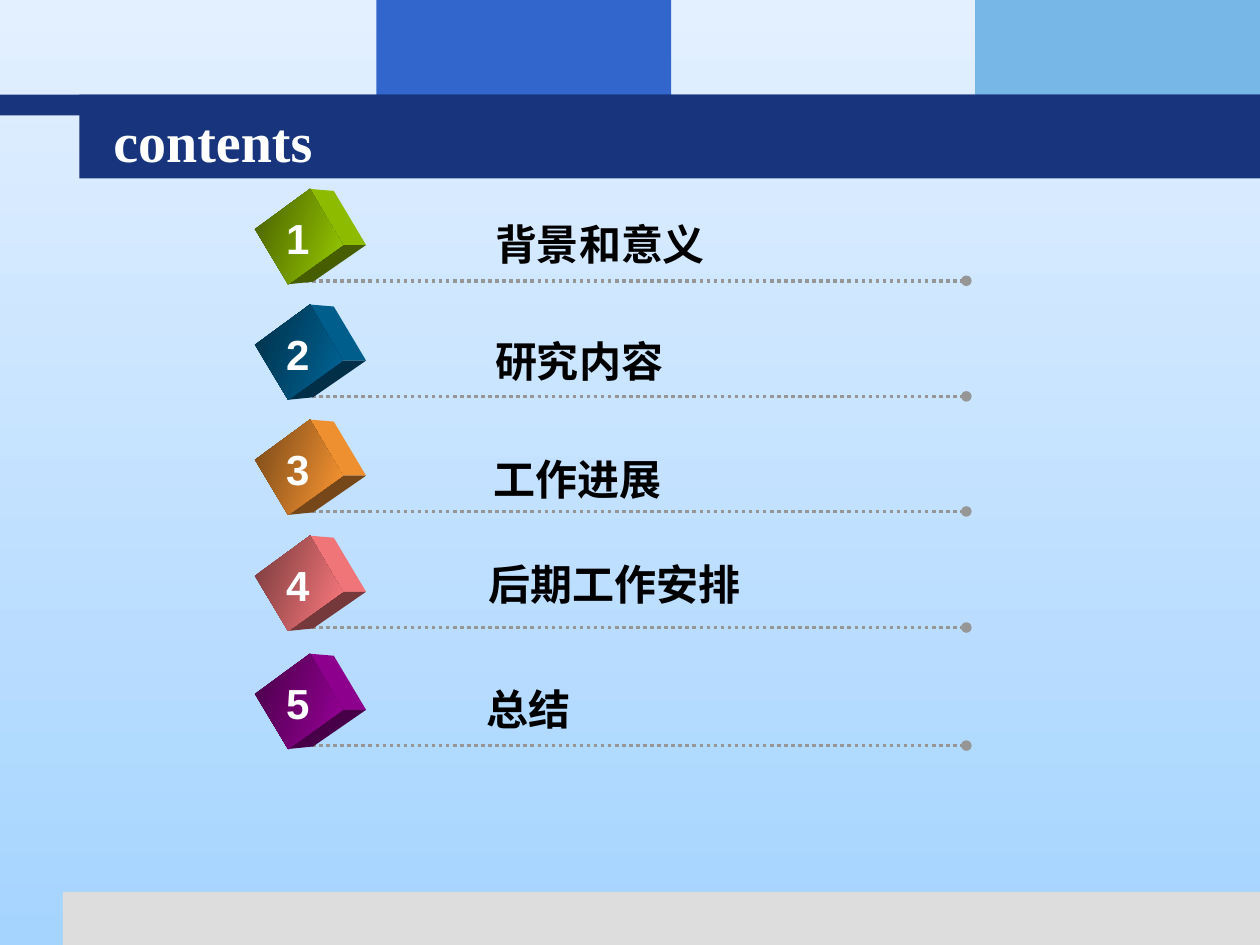
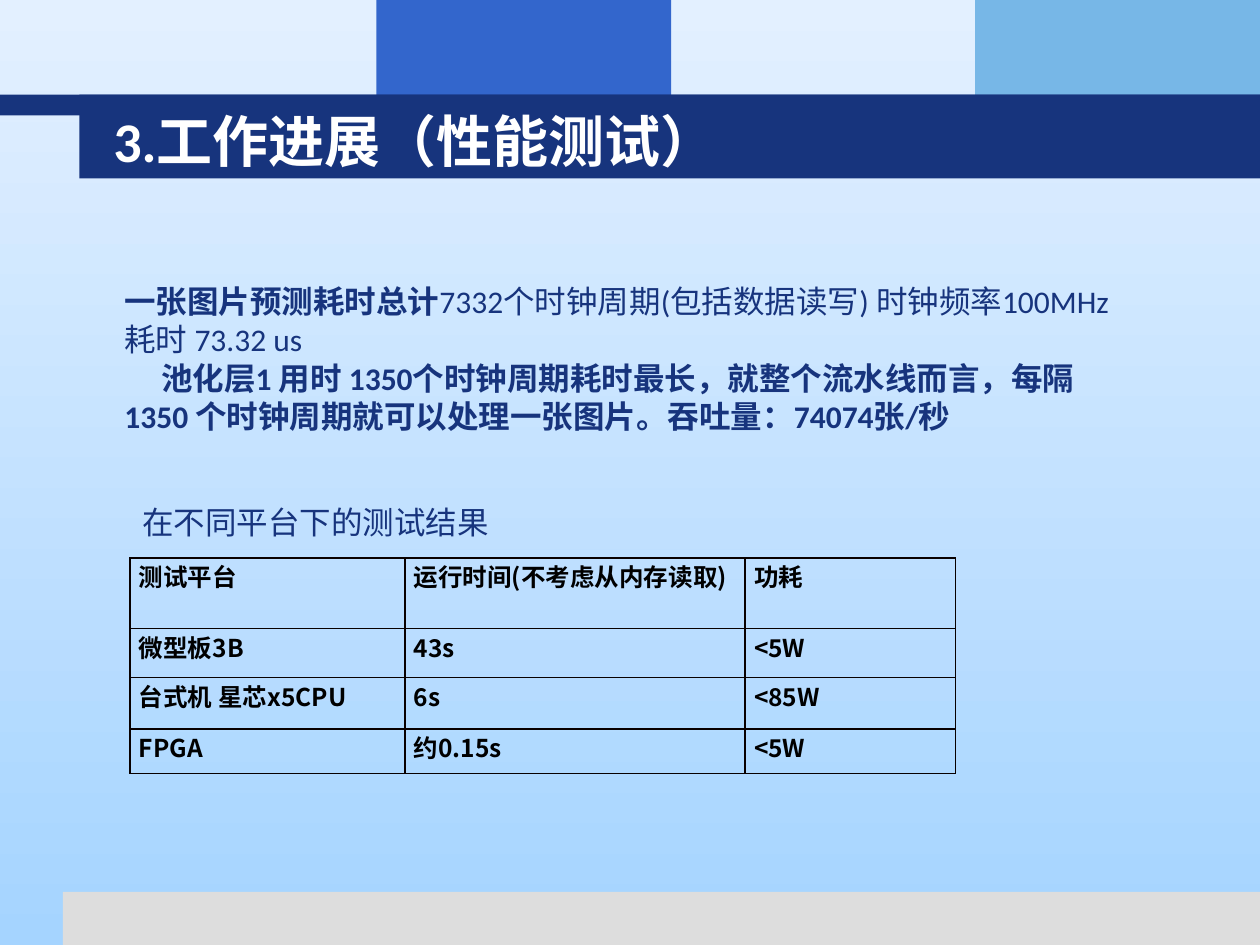
import pptx
import pptx.dml.color
import pptx.enum.dml
import pptx.enum.shapes
import pptx.enum.text
import pptx.oxml
import pptx.oxml.ns
import pptx.util
from pptx.dml.color import RGBColor
from pptx.util import Cm

SKY_BOTTOM = RGBColor(0xA5, 0xD4, 0xFF)
SKY_TOP = RGBColor(0xE3, 0xF0, 0xFF)
NAVY = RGBColor(0x17, 0x34, 0x7D)
BLUE = RGBColor(0x33, 0x66, 0xCC)
LIGHT_BLUE = RGBColor(0x77, 0xB7, 0xE7)
FOOTER_GREY = RGBColor(0xDD, 0xDD, 0xDD)
DOT_GREY = RGBColor(0x96, 0x96, 0x96)
BLACK = RGBColor(0, 0, 0)
WHITE = RGBColor(0xFF, 0xFF, 0xFF)

TITLE_ONLY = 5
LINE_START, LINE_END = 6.15, 19.48
CUBE_LEFT, CUBE_RISE = 5.14, 1.85

# left, top, width, height in cm
BANDS = [
    (1.27, 17.98, 24.13, 1.07, FOOTER_GREY),
    (7.59, 0, 5.94, 2.34, BLUE),
    (19.66, 0, 5.74, 2.34, LIGHT_BLUE),
    (0, 1.91, 25.4, 0.42, NAVY),
    (1.6, 1.91, 23.8, 1.69, NAVY),
]

# Cube faces, in cm from the top left corner of the cube
FRONT_FACE = [(0, 0.81), (1.11, 0), (1.77, 1.13), (0.67, 1.92)]
SIDE_FACE = [(1.11, 0), (1.59, 0.04), (2.24, 1.13), (1.77, 1.13)]
BOTTOM_FACE = [(0.67, 1.92), (1.77, 1.13), (2.24, 1.13), (1.17, 1.87)]

# label, left of label, drop from label top to line, line height, font, cube light, side and dark
CONTENTS = [
    ("背景和意义", 9.73, 1.37, 5.66, "Arial", "99CC00", "8CBB00", "475E00"),
    ("研究内容", 9.73, 1.35, 7.99, "Calibri", "006699", "005E8D", "002F47"),
    ("工作进展", 9.7, 1.3, 10.31, "Calibri", "FF9933", "EE8F30", "764718"),
    ("后期工作安排", 9.6, 1.52, 12.65, "Calibri", "FF7C80", "F07579", "76393B"),
    ("总结", 9.55, 1.37, 15.03, "Arial", "990099", "8D008D", "470047"),
]

RESULTS = [
    ("测试平台", "运行时间(不考虑从内存读取)", "功耗"),
    ("微型板3B", "43s", "<5W"),
    ("台式机 星芯x5CPU", "6s", "<85W"),
    ("FPGA", "约0.15s", "<5W"),
]
COLUMN_WIDTHS = [5.54, 6.86, 4.24]
ROW_HEIGHTS = [1.42, 0.99, 1.04, 0.89]


def add_xml(parent, tag, position=None, **attributes):
    element = parent.makeelement(pptx.oxml.ns.qn(tag), attributes)
    parent.insert(len(parent) if position is None else position, element)
    return element


def set_gradient(fill, start, end, angle):
    fill.gradient()
    fill.gradient_angle = angle
    for stop, color in zip(fill.gradient_stops, (start, end)):
        stop.color.rgb = color


def set_font(para, name, size, color, bold=None):
    para.font.name = name
    para.font.size = pptx.util.Pt(size)
    para.font.color.rgb = color
    para.font.bold = bold


def add_text(shapes, box, text, name, size, color, bold=None, wrap=True):
    frame = shapes.add_textbox(*map(Cm, box)).text_frame
    frame.word_wrap = wrap
    para = frame.paragraphs[0]
    para.text = text
    set_font(para, name, size, color, bold)
    return para


def add_page(deck, title_text, title_font):
    """Add a slide with the shared bands and its title in the navy bar."""
    page = deck.slides.add_slide(deck.slide_layouts[TITLE_ONLY])
    for *box, color in BANDS:
        band = page.shapes.add_shape(
            pptx.enum.shapes.MSO_SHAPE.RECTANGLE, *map(Cm, box))
        band.shadow.inherit = False
        band.fill.solid()
        band.fill.fore_color.rgb = color
        band.line.fill.background()

    title = page.shapes.title
    title.element.getparent().append(title.element)  # bring in front of the bands
    title.left, title.top, title.width, title.height = map(Cm, (2.03, 2.03, 21.67, 1.57))
    frame = title.text_frame
    frame.text = title_text
    frame.auto_size = pptx.enum.text.MSO_AUTO_SIZE.NONE
    frame.vertical_anchor = pptx.enum.text.MSO_ANCHOR.MIDDLE
    frame.paragraphs[0].alignment = pptx.enum.text.PP_ALIGN.LEFT
    set_font(frame.paragraphs[0], title_font, 32, WHITE, True)
    return page


def add_face(shapes, left, top, points):
    corners = [(Cm(left + x), Cm(top + y)) for x, y in points]
    builder = shapes.build_freeform(*corners[0])
    builder.add_line_segments(corners[1:], close=True)
    face = builder.convert_to_shape()
    face.shadow.inherit = False
    face.line.fill.background()
    return face


def add_cube(shapes, left, top, number, light, side, dark):
    for points, color in ((SIDE_FACE, side), (BOTTOM_FACE, dark)):
        face = add_face(shapes, left, top, points)
        face.fill.solid()
        face.fill.fore_color.rgb = color
    front = add_face(shapes, left, top, FRONT_FACE)
    set_gradient(front.fill, dark, light, 340)
    para = add_text(shapes, (left + 0.37, top + 0.35, 0.99, 1.27), str(number),
                    "Arial", 24, WHITE, True, wrap=False)
    para.alignment = pptx.enum.text.PP_ALIGN.CENTER


def add_dotted_line(shapes, left, right, height):
    connector = shapes.add_connector(
        pptx.enum.shapes.MSO_CONNECTOR.STRAIGHT,
        Cm(left), Cm(height), Cm(right), Cm(height))
    connector.line.color.rgb = DOT_GREY
    connector.line.width = pptx.util.Pt(2)
    connector.line.dash_style = pptx.enum.dml.MSO_LINE.ROUND_DOT
    properties = connector.element.spPr
    add_xml(properties.find(pptx.oxml.ns.qn("a:ln")), "a:tailEnd", type="oval")
    add_xml(properties, "a:effectLst")


def build_contents(deck):
    page = add_page(deck, "contents", "Times New Roman")
    for number, entry in enumerate(CONTENTS, 1):
        label, left, drop, height, font, *colors = entry
        shapes = page.shapes.add_group_shape().shapes
        add_dotted_line(shapes, LINE_START, LINE_END, height)
        add_cube(shapes, CUBE_LEFT, height - CUBE_RISE, number,
                 *map(RGBColor.from_string, colors))
        add_text(shapes, (left, height - drop, 5.8, 1.27), label, font, 24, BLACK, True)


def add_borders(cell):
    properties = cell._tc.get_or_add_tcPr()
    for position, side in enumerate(("a:lnL", "a:lnR", "a:lnT", "a:lnB")):
        border = add_xml(properties, side, position, w=str(pptx.util.Pt(1)))
        add_xml(add_xml(border, "a:solidFill"), "a:srgbClr", val="080000")


def add_results_table(page, left, top):
    table = page.shapes.add_table(
        len(RESULTS), len(COLUMN_WIDTHS), Cm(left), Cm(top),
        Cm(sum(COLUMN_WIDTHS)), Cm(sum(ROW_HEIGHTS))).table
    table.first_row = table.horz_banding = False
    for column, width in zip(table.columns, COLUMN_WIDTHS):
        column.width = Cm(width)
    for row, height, texts in zip(table.rows, ROW_HEIGHTS, RESULTS):
        row.height = Cm(height)
        for cell, text in zip(row.cells, texts):
            cell.text = text
            cell.fill.background()
            cell.margin_left = cell.margin_right = Cm(0.18)
            cell.margin_top = cell.margin_bottom = 0
            set_font(cell.text_frame.paragraphs[0], "Noto Sans CJK SC", 14, BLACK, True)
            add_borders(cell)


def build_performance(deck):
    page = add_page(deck, "3.工作进展（性能测试）", "Calibri")
    throughput = add_text(
        page.shapes, (2.26, 7.11, 20.6, 1.8),
        "池化层1 用时 1350个时钟周期耗时最长，就整个流水线而言，"
        "每隔1350 个时钟周期就可以处理一张图片。吞吐量：74074张/秒",
        "Calibri", 18, NAVY, True)
    throughput._p.get_or_add_pPr().set("indent", str(Cm(0.74)))

    latency = add_text(page.shapes, (2.26, 5.56, 20.6, 1.8), "一张图片预测耗时总计",
                       "Calibri", 18, NAVY)
    latency.runs[0].font.bold = True
    span = latency.add_run()
    span.text = "7332个时钟周期(包括数据读写) 时钟频率100MHz 耗时 73.32 us"

    add_results_table(page, 2.62, 11.25)
    add_text(page.shapes, (2.62, 10.01, 9.37, 1.02), "在不同平台下的测试结果",
             "Calibri", 18, NAVY)


def main():
    deck = pptx.Presentation()
    deck.slide_width, deck.slide_height = Cm(25.4), Cm(19.05)
    set_gradient(deck.slide_master.background.fill, SKY_BOTTOM, SKY_TOP, 90)
    build_contents(deck)
    build_performance(deck)
    deck.save("out.pptx")


if __name__ == "__main__":
    main()
